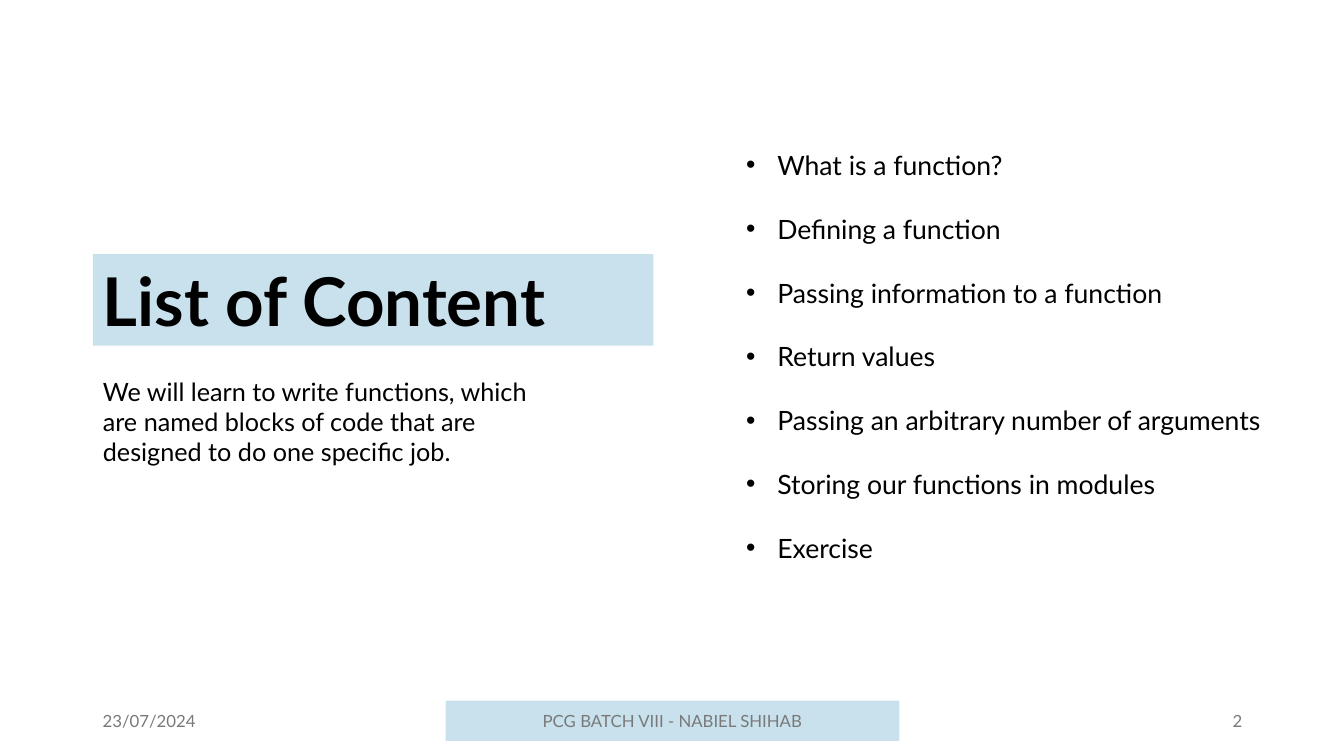
from lxml import etree
from pptx import Presentation
from pptx.dml.color import RGBColor
from pptx.enum.text import MSO_ANCHOR, MSO_AUTO_SIZE, PP_ALIGN
from pptx.oxml.ns import qn
from pptx.util import Inches, Pt

TOP, MIDDLE = MSO_ANCHOR.TOP, MSO_ANCHOR.MIDDLE
LEFT, CENTER, RIGHT = PP_ALIGN.LEFT, PP_ALIGN.CENTER, PP_ALIGN.RIGHT
NO_AUTOFIT = MSO_AUTO_SIZE.NONE

FONT = "Lato"
BLACK = RGBColor(0x00, 0x00, 0x00)
GRAY = RGBColor(0x79, 0x79, 0x79)
PALE_BLUE = RGBColor(0xC8, 0xE1, 0xED)

TWO_CONTENT_LAYOUT = 3
TOPICS = [
    "What is a function?",
    "Defining a function",
    "Passing information to a function",
    "Return values",
    "Passing an arbitrary number of arguments",
    "Storing our functions in modules",
    "Exercise",
]
SUMMARY = ("We will learn to write functions, which are named blocks of code "
           "that are designed to do one specific job.")


def place(shape, left, top, width, height):
    """Move and size a shape, in inches."""
    shape.left, shape.top = Inches(left), Inches(top)
    shape.width, shape.height = Inches(width), Inches(height)


def write(shape, lines, size, color=BLACK, bold=False, align=LEFT,
          anchor=TOP, spacing=1.0):
    """Fill a shape with evenly formatted paragraphs."""
    frame = shape.text_frame
    frame.text = "\n".join(lines)
    frame.word_wrap = True
    frame.auto_size = NO_AUTOFIT
    frame.vertical_anchor = anchor
    for paragraph in frame.paragraphs:
        paragraph.alignment = align
        paragraph.line_spacing = spacing
        paragraph.space_before = Pt(0)
        paragraph.font.name = FONT
        paragraph.font.size = Pt(size)
        paragraph.font.bold = bold
        paragraph.font.color.rgb = color


def set_bullets(shape, indent, bullet=None):
    """Set a hanging indent and a bullet, or no bullet."""
    for paragraph in shape.text_frame.paragraphs:
        properties = paragraph._p.get_or_add_pPr()
        properties.set("marL", str(Inches(indent)))
        properties.set("indent", str(-Inches(indent)))
        if bullet:
            etree.SubElement(properties, qn("a:buFont"), typeface="Arial")
            etree.SubElement(properties, qn("a:buChar"), char=bullet)
        else:
            etree.SubElement(properties, qn("a:buNone"))
        default_run = properties.find(qn("a:defRPr"))
        if default_run is not None:
            properties.append(default_run)


def paint(shape):
    """Give a shape the pale blue background."""
    shape.fill.solid()
    shape.fill.fore_color.rgb = PALE_BLUE


def add_footer_text(slide, text, left, width, align):
    """Add one part of the footer line."""
    footer = slide.shapes.add_textbox(
        Inches(left), Inches(6.95), Inches(width), Inches(0.4))
    write(footer, [text], 12, GRAY, align=align, anchor=MIDDLE)
    return footer


def main():
    """Build the list of content slide."""
    presentation = Presentation()
    presentation.slide_width = Inches(13.33)
    presentation.slide_height = Inches(7.5)
    slide = presentation.slides.add_slide(
        presentation.slide_layouts[TWO_CONTENT_LAYOUT])
    title, summary, topics = slide.placeholders

    add_footer_text(slide, "23/07/2024", 0.92, 3, LEFT)
    paint(add_footer_text(slide, "PCG BATCH VIII - NABIEL SHIHAB", 4.42, 4.5, CENTER))
    add_footer_text(slide, "2", 9.42, 3, RIGHT)

    place(title, 0.92, 2.52, 5.56, 0.91)
    write(title, ["List of Content"], 48, bold=True)
    paint(title)

    place(summary, 0.92, 3.68, 4.5, 1.01)
    write(summary, [SUMMARY], 18)
    set_bullets(summary, 0)

    place(topics, 7.3, 1.11, 5.39, 4.49)
    write(topics, TOPICS, 19, spacing=2.0)
    set_bullets(topics, 0.31, "•")

    presentation.save("out.pptx")


if __name__ == "__main__":
    main()
